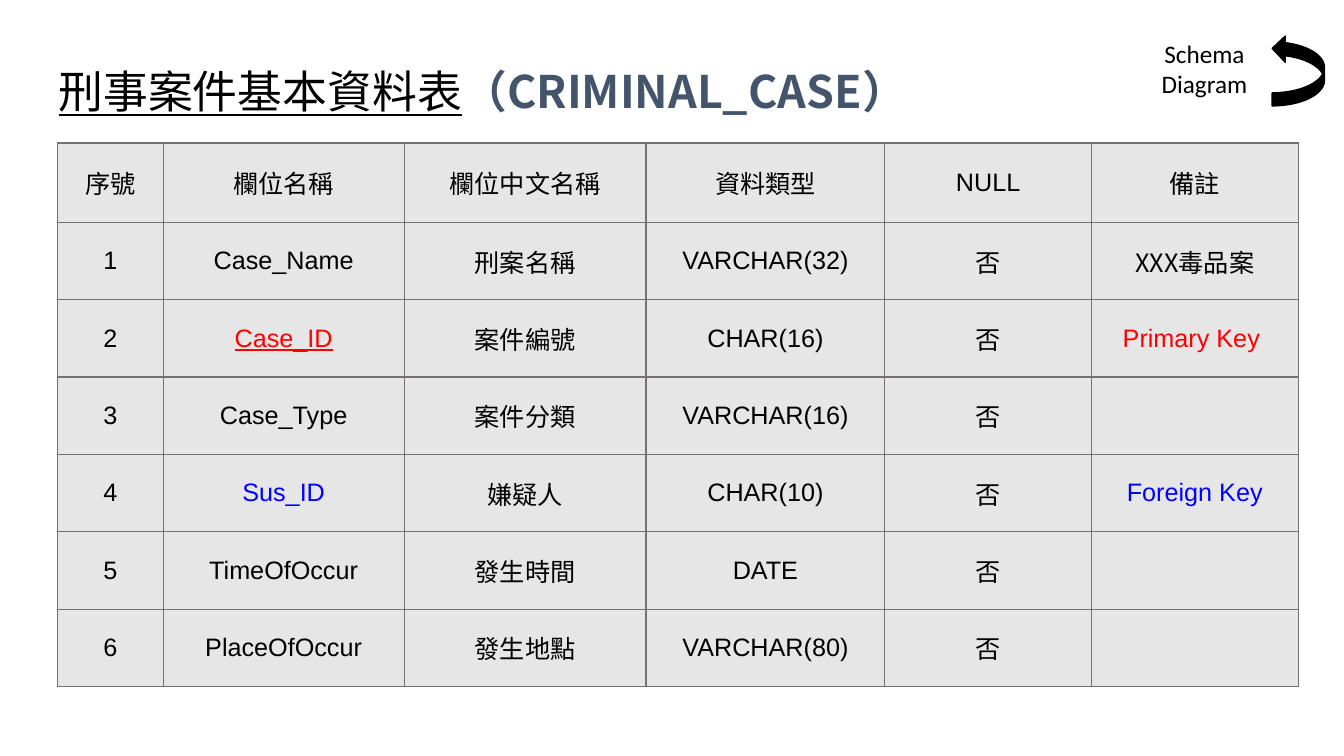
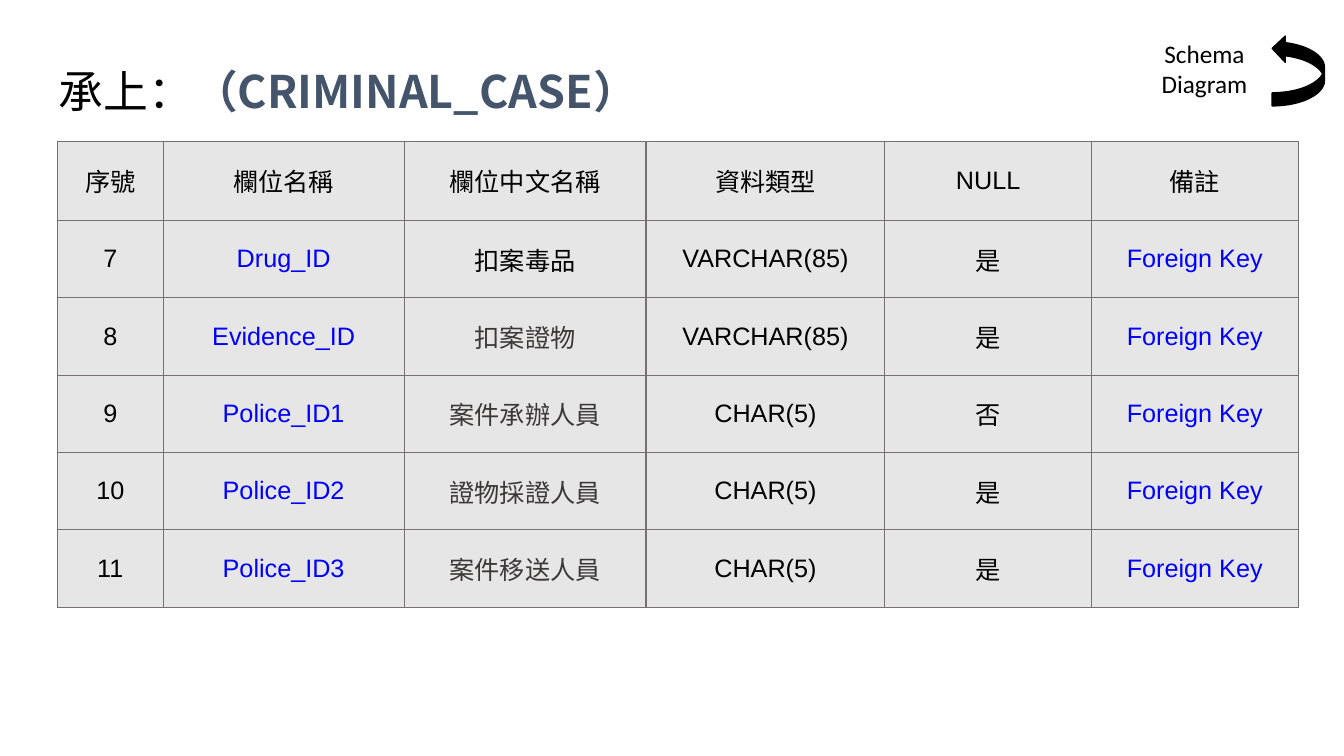
from dataclasses import dataclass

from lxml import etree
from pptx import Presentation
from pptx import util as u
from pptx.dml.color import RGBColor
from pptx.enum import shapes, text
from pptx.oxml import ns


@dataclass(frozen=True)
class Theme:
    black: str = "000000"
    slate: str = "44546A"
    charcoal: str = "3B3838"
    red: str = "FF0000"
    blue: str = "0000FF"
    cell: str = "E7E6E6"
    border: str = "767171"
    cjk: str = "Noto Sans CJK SC"
    latin: str = "Arial"
    label: str = "Calibri"
    title_size: int = 32
    body_size: int = 18


theme = Theme()


def add_span(para, words, size, font, color, bold=False, underline=False):
    span = para.add_run()
    span.text = words
    span.font.size = u.Pt(size)
    span.font.name = font
    span.font.bold = bold
    span.font.underline = underline
    span.font.color.rgb = RGBColor.from_string(color)
    latin = span.font._element.find(ns.qn("a:latin"))
    east_asian = etree.Element(ns.qn("a:ea"), typeface=theme.cjk)
    latin.addnext(east_asian)


def format_cell(cell, inset):
    """Give the cell its insets, thin border on every side and grey fill."""
    cell.vertical_anchor = text.MSO_ANCHOR.MIDDLE
    cell.margin_left = cell.margin_right = u.Pt(inset)
    cell.margin_top = cell.margin_bottom = u.Pt(inset)
    properties = cell._tc.get_or_add_tcPr()
    for side in ("lnL", "lnR", "lnT", "lnB"):
        line = etree.SubElement(properties, ns.qn(f"a:{side}"), w=str(u.Pt(1)))
        fill = etree.SubElement(line, ns.qn("a:solidFill"))
        etree.SubElement(fill, ns.qn("a:srgbClr"), val=theme.border)
    cell.fill.solid()
    cell.fill.fore_color.rgb = RGBColor.from_string(theme.cell)


PRIMARY, FOREIGN = "Primary Key ", "Foreign Key"
KEY_COLORS = {PRIMARY: theme.red, FOREIGN: theme.blue}
HEADINGS = ("序號", "欄位名稱", "欄位中文名稱", "資料類型", "NULL", "備註")
COLUMN_WIDTHS = (75.6, 172.1, 172.8, 170.6, 147.6, 147.6)
HEADER_HEIGHT, ROW_HEIGHT = 56.6, 55.3
HEADER_INSET, ROW_INSET = 9.4, 5
FIRST_CHARCOAL_FIELD = 8

# heading, underlined, title height, table top, first field number, fields
PAGES = (
    ("刑事案件基本資料表", True, 60.5, 102.2, 1, (
        ("Case_Name", "刑案名稱", "VARCHAR(32)", "否", "XXX毒品案"),
        ("Case_ID", "案件編號", "CHAR(16)", "否", PRIMARY),
        ("Case_Type", "案件分類", "VARCHAR(16)", "否", ""),
        ("Sus_ID", "嫌疑人", "CHAR(10)", "否", FOREIGN),
        ("TimeOfOccur", "發生時間", "DATE", "否", ""),
        ("PlaceOfOccur", "發生地點", "VARCHAR(80)", "否", ""),
    )),
    ("承上：", False, 54.7, 100.8, 7, (
        ("Drug_ID", "扣案毒品", "VARCHAR(85)", "是", FOREIGN),
        ("Evidence_ID", "扣案證物", "VARCHAR(85)", "是", FOREIGN),
        ("Police_ID1", "案件承辦人員", "CHAR(5)", "否", FOREIGN),
        ("Police_ID2", "證物採證人員", "CHAR(5)", "是", FOREIGN),
        ("Police_ID3", "案件移送人員", "CHAR(5)", "是", FOREIGN),
    )),
)

deck = Presentation()
deck.slide_width, deck.slide_height = u.Pt(960), u.Pt(540)
title_only = deck.slide_layouts[5]

for heading, underlined, title_height, table_top, first_number, fields in PAGES:
    page = deck.slides.add_slide(title_only)

    title = page.shapes.title
    title.left, title.top = u.Pt(32.4), u.Pt(40.3)
    title.width, title.height = u.Pt(894.2), u.Pt(title_height)
    frame = title.text_frame
    frame.auto_size = text.MSO_AUTO_SIZE.NONE
    frame.vertical_anchor = text.MSO_ANCHOR.TOP
    frame.margin_left = frame.margin_right = u.Pt(9.4)
    frame.margin_top = frame.margin_bottom = u.Pt(9.4)
    para = frame.paragraphs[0]
    para.alignment = text.PP_ALIGN.LEFT
    para.line_spacing = 0.9
    add_span(para, heading, theme.title_size, theme.cjk, theme.black,
             underline=underlined)
    add_span(para, "（CRIMINAL_CASE）", theme.title_size, theme.cjk, theme.slate,
             bold=True)

    table_height = HEADER_HEIGHT + ROW_HEIGHT * len(fields)
    table = page.shapes.add_table(
        len(fields) + 1, len(HEADINGS), u.Pt(41), u.Pt(table_top),
        u.Pt(sum(COLUMN_WIDTHS)), u.Pt(table_height)).table
    table.first_row = table.horz_banding = False
    for column, width in zip(table.columns, COLUMN_WIDTHS):
        column.width = u.Pt(width)

    numbered = [(str(number), *field)
                for number, field in enumerate(fields, first_number)]
    for row_index, values in enumerate([HEADINGS, *numbered]):
        is_header = row_index == 0
        table.rows[row_index].height = u.Pt(HEADER_HEIGHT if is_header else ROW_HEIGHT)
        note = values[-1]
        colors = [theme.black] * len(HEADINGS)
        colors[1] = colors[5] = KEY_COLORS.get(note, theme.black)
        if not is_header and int(values[0]) >= FIRST_CHARCOAL_FIELD:
            colors[2] = theme.charcoal
        for column_index, (value, color) in enumerate(zip(values, colors)):
            cell = table.cell(row_index, column_index)
            format_cell(cell, HEADER_INSET if is_header else ROW_INSET)
            para = cell.text_frame.paragraphs[0]
            para.alignment = text.PP_ALIGN.CENTER
            if value.startswith("XXX"):
                add_span(para, "XXX", theme.body_size, theme.cjk, color)
                value = value.removeprefix("XXX")
            if value:
                add_span(para, value, theme.body_size, theme.latin, color,
                         underline=column_index == 1 and note == PRIMARY)

    arrow = page.shapes.add_shape(
        shapes.MSO_SHAPE.CURVED_UP_ARROW,
        u.Pt(902.2), u.Pt(31.7), u.Pt(50.4), u.Pt(37.4))
    arrow.rotation = 270
    arrow.shadow.inherit = False
    arrow.fill.solid()
    arrow.fill.fore_color.rgb = RGBColor.from_string(theme.black)
    arrow.line.color.rgb = RGBColor.from_string(theme.black)
    arrow.line.width = u.Pt(1)

    box = page.shapes.add_textbox(u.Pt(822.2), u.Pt(23.8), u.Pt(76.3), u.Pt(51.1))
    box.text_frame.word_wrap = False
    box.text_frame.auto_size = text.MSO_AUTO_SIZE.SHAPE_TO_FIT_TEXT
    para = box.text_frame.paragraphs[0]
    para.alignment = text.PP_ALIGN.CENTER
    add_span(para, "Schema", theme.body_size, theme.label, theme.black)
    para.add_line_break()
    add_span(para, "Diagram", theme.body_size, theme.label, theme.black)

deck.save("out.pptx")
